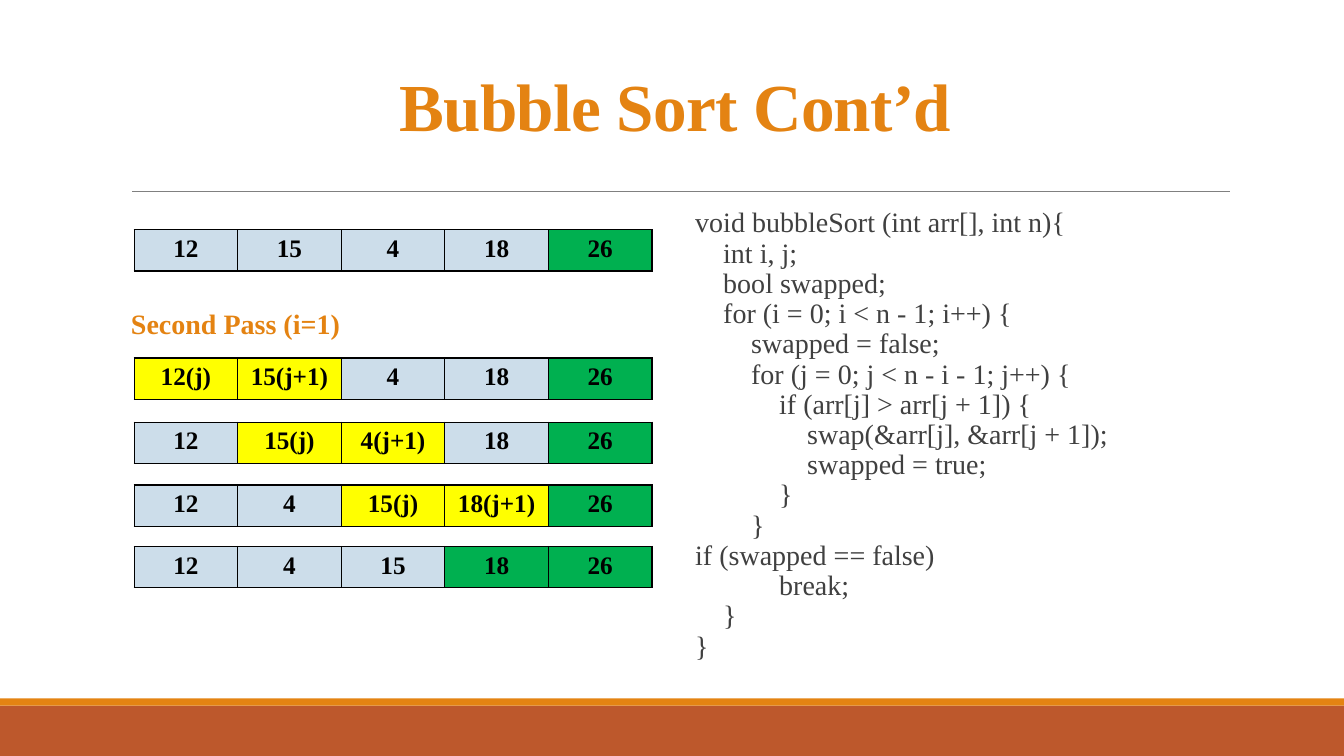
from lxml import etree
from pptx import Presentation
from pptx.dml.color import RGBColor
from pptx.enum.shapes import MSO_CONNECTOR, MSO_SHAPE
from pptx.enum.text import MSO_ANCHOR, MSO_AUTO_SIZE, PP_ALIGN
from pptx.oxml import parse_xml
from pptx.oxml.ns import nsdecls, qn
from pptx.util import Cm, Pt

# Content
TITLE = "Bubble Sort Cont’d"
PASS_LABEL = "Second Pass (i=1)"
CODE = """void bubbleSort (int arr[], int n){
    int i, j;
    bool swapped;
    for (i = 0; i < n - 1; i++) {
        swapped = false;
        for (j = 0; j < n - i - 1; j++) {
            if (arr[j] > arr[j + 1]) {
                swap(&arr[j], &arr[j + 1]);
                swapped = true;
            }
        }
if (swapped == false)
            break;
    }
}""".split("\n")

# Each array state: top in cm, values, number of sorted cells at the end
ARRAYS = [
    (5.79, ["12", "15", "4", "18", "26"], 1),
    (9.02, ["12(j)", "15(j+1)", "4", "18", "26"], 1),
    (10.64, ["12", "15(j)", "4(j+1)", "18", "26"], 1),
    (12.22, ["12", "4", "15(j)", "18(j+1)", "26"], 1),
    (13.77, ["12", "4", "15", "18", "26"], 2),
]

# Style
FONT = "Times New Roman"
ORANGE = RGBColor(0xE4, 0x83, 0x12)
RUST = RGBColor(0xBD, 0x58, 0x2C)
GREY = RGBColor(0x80, 0x80, 0x80)
DARK = RGBColor(0x40, 0x40, 0x40)
BLACK = RGBColor(0, 0, 0)
PALE_BLUE = RGBColor(0xCC, 0xDD, 0xEA)
YELLOW = RGBColor(0xFF, 0xFF, 0x00)
GREEN = RGBColor(0x00, 0xB0, 0x50)
ARRAY_LEFT, CELL_W, CELL_H = 3.38, 2.61, 1.04


def add_run(p, text, size, color, bold=False):
    r = p.add_run()
    r.text = text
    r.font.name, r.font.size = FONT, Pt(size)
    r.font.bold, r.font.color.rgb = bold, color
    return r


def place(sp, left, top, width, height):
    sp.left, sp.top, sp.width, sp.height = map(Cm, (left, top, width, height))
    tf = sp.text_frame
    tf.word_wrap, tf.auto_size = True, MSO_AUTO_SIZE.NONE
    return tf


def fill_body(sp, box, lines, color, bold=False):
    tf = place(sp, *box)
    tf.vertical_anchor = MSO_ANCHOR.TOP
    tf.margin_left = tf.margin_right = 0
    for i, line in enumerate(lines):
        p = tf.paragraphs[0] if i == 0 else tf.add_paragraph()
        pPr = p._p.get_or_add_pPr()
        pPr.set("marL", str(Cm(0.25)))
        pPr.set("indent", str(-Cm(0.25)))
        clr = etree.SubElement(pPr, qn("a:buClr"))
        etree.SubElement(clr, qn("a:srgbClr"), val=str(ORANGE))
        etree.SubElement(pPr, qn("a:buFont"), typeface="Calibri")
        etree.SubElement(pPr, qn("a:buChar"), char=" ")
        p.line_spacing, p.space_before = 0.9, Pt(0)
        add_run(p, line, 20, color, bold)


def add_array(shapes, top, values, sorted_count):
    n = len(values)
    table = shapes.add_table(1, n, Cm(ARRAY_LEFT), Cm(top),
                             Cm(CELL_W * n), Cm(CELL_H)).table
    table.first_row = table.horz_banding = False
    for i, value in enumerate(values):
        table.columns[i].width = Cm(CELL_W)
        cell = table.cell(0, i)
        tcPr = cell._tc.get_or_add_tcPr()
        for side in ("lnL", "lnR", "lnT", "lnB"):
            tcPr.append(parse_xml(
                f'<a:{side} {nsdecls("a")} w="{Pt(1)}"><a:solidFill>'
                f'<a:srgbClr val="{BLACK}"/></a:solidFill></a:{side}>'))
        cell.fill.solid()
        if i >= n - sorted_count:
            cell.fill.fore_color.rgb = GREEN
        else:
            cell.fill.fore_color.rgb = YELLOW if "j" in value else PALE_BLUE
        p = cell.text_frame.paragraphs[0]
        p.alignment = PP_ALIGN.CENTER
        add_run(p, value, 18, BLACK, True)


def main():
    prs = Presentation()
    prs.slide_width, prs.slide_height = Cm(33.87), Cm(19.05)
    slide = prs.slides.add_slide(prs.slide_layouts[3])
    shapes = slide.shapes
    title, left_body, right_body = slide.placeholders

    # Footer bands
    for top, height, color in ((17.78, 1.27, RUST), (17.6, 0.18, ORANGE)):
        band = shapes.add_shape(MSO_SHAPE.RECTANGLE, 0, Cm(top),
                                prs.slide_width, Cm(height))
        band.shadow.inherit = False
        band.fill.solid()
        band.fill.fore_color.rgb = color
        band.line.fill.background()

    # Rule under the title
    rule = shapes.add_connector(MSO_CONNECTOR.STRAIGHT,
                                Cm(3.33), Cm(4.82), Cm(31), Cm(4.82))
    rule.line.color.rgb, rule.line.width = GREY, Pt(0.5)
    etree.SubElement(rule._element.spPr, qn("a:effectLst"))

    # Title
    tf = place(title, 3.05, 0.79, 27.94, 4.03)
    tf.vertical_anchor = MSO_ANCHOR.MIDDLE
    p = tf.paragraphs[0]
    p.alignment, p.line_spacing = PP_ALIGN.CENTER, 0.85
    r = add_run(p, TITLE, 48, ORANGE, True)
    r._r.get_or_add_rPr().set("spc", "-50")

    # Pass label and code
    fill_body(left_body, (3.05, 7.7, 13.72, 1.1), [PASS_LABEL], ORANGE, True)
    fill_body(right_body, (17.27, 5.13, 13.72, 12.32), CODE, DARK)

    # Array states
    for state in ARRAYS:
        add_array(shapes, *state)

    prs.save("out.pptx")


if __name__ == "__main__":
    main()
